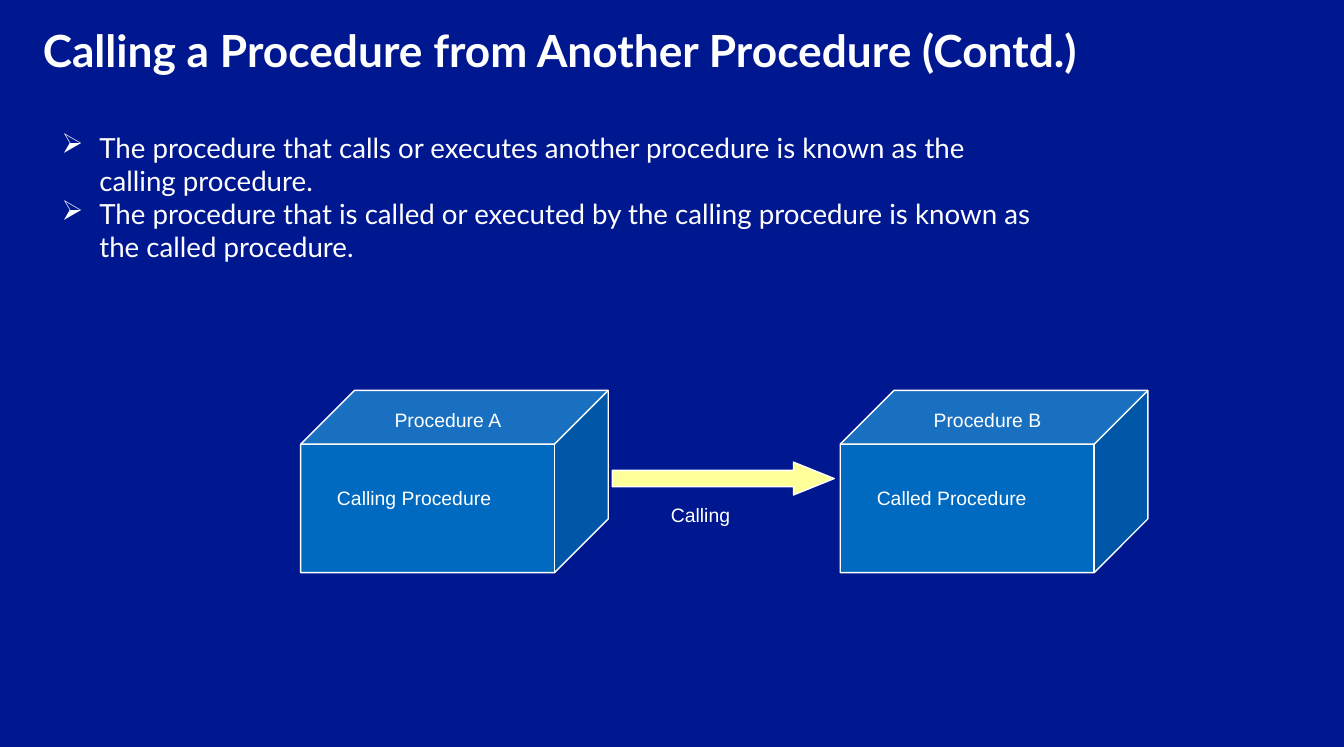
from lxml import etree
from pptx import Presentation
from pptx.dml.color import RGBColor
from pptx.enum.shapes import MSO_SHAPE
from pptx.enum.text import MSO_ANCHOR, PP_ALIGN
from pptx.oxml.ns import qn
from pptx.util import Inches, Pt

NAVY = RGBColor(0x00, 0x18, 0x8F)
WHITE = RGBColor(0xFF, 0xFF, 0xFF)
CYAN = RGBColor(0x00, 0xBC, 0xF2)
YELLOW = RGBColor(0xFF, 0xFF, 0x99)


class SlideBuilder:
    """Holds the slide and its style, and adds each kind of element."""

    heading_font = "Lato"
    label_font = "Arial"

    def __init__(self, prs):
        self.slide = prs.slides.add_slide(prs.slide_layouts[5])
        self.slide.background.fill.solid()
        self.slide.background.fill.fore_color.rgb = NAVY

    def place(self, shape, box):
        shape.left, shape.top, shape.width, shape.height = map(Inches, box)

    def set_text(self, frame, lines, font, size, bold=False,
                 align=PP_ALIGN.LEFT, anchor=MSO_ANCHOR.TOP):
        frame.word_wrap = True
        frame.vertical_anchor = anchor
        frame.margin_left = frame.margin_right = Inches(0.1)
        frame.margin_top = frame.margin_bottom = Inches(0.05)
        frame.text = "\n".join(lines)
        for paragraph in frame.paragraphs:
            paragraph.alignment = align
            style = paragraph.runs[0].font
            style.name, style.size, style.bold = font, Pt(size), bold
            style.color.rgb = WHITE

    def title(self, text, box):
        title = self.slide.shapes.title
        self.place(title, box)
        self.set_text(title.text_frame, [text], self.heading_font, 32, bold=True,
                      anchor=MSO_ANCHOR.MIDDLE)

    def bullets(self, lines, box):
        frame = self.slide.shapes.add_textbox(*map(Inches, box)).text_frame
        self.set_text(frame, lines, self.heading_font, 20)
        for paragraph in frame.paragraphs:
            properties = paragraph._p.get_or_add_pPr()
            properties.set("marL", str(Inches(0.38)))
            properties.set("indent", str(Inches(-0.38)))
            etree.SubElement(properties, qn("a:buChar"), char="\u27a2")

    def label(self, text, box, align=PP_ALIGN.CENTER, anchor=MSO_ANCHOR.TOP):
        frame = self.slide.shapes.add_textbox(*map(Inches, box)).text_frame
        self.set_text(frame, [text], self.label_font, 14, align=align, anchor=anchor)

    def shape(self, kind, box, color, adjustments, alpha=100):
        shape = self.slide.shapes.add_shape(kind, *map(Inches, box))
        shape.shadow.inherit = False
        for index, value in enumerate(adjustments):
            shape.adjustments[index] = value
        shape.fill.solid()
        shape.fill.fore_color.rgb = color
        if alpha < 100:
            fill_color = shape._element.spPr.find(qn("a:solidFill"))[0]
            etree.SubElement(fill_color, qn("a:alpha"), val=str(alpha * 1000))
        shape.line.color.rgb = WHITE
        shape.line.width = Pt(1)

    def procedure(self, name, role, left, role_left):
        self.shape(MSO_SHAPE.CUBE, (left, 3.92, 3.09, 1.83), CYAN, [0.295], alpha=50)
        self.label(name, (left + 0.64, 4, 1.68, 0.42), anchor=MSO_ANCHOR.MIDDLE)
        self.label(role, (role_left, 4.83, 2.02, 0.34))


prs = Presentation()
prs.slide_width, prs.slide_height = Inches(13.5), Inches(7.5)

builder = SlideBuilder(prs)
builder.title("Calling a Procedure from Another Procedure (Contd.)",
              (0.33, 0.18, 12.84, 0.64))
builder.bullets([
    "The procedure that calls or executes another procedure is known as the "
    "calling procedure.",
    "The procedure that is called or executed by the calling procedure is known "
    "as the called procedure.",
], (0.52, 1.26, 10.06, 1.75))

builder.procedure("Procedure A", "Calling Procedure", 3.02, 3.15)
builder.procedure("Procedure B", "Called Procedure", 8.44, 8.55)
builder.shape(MSO_SHAPE.RIGHT_ARROW, (6.15, 4.64, 2.23, 0.33), YELLOW, [0.5, 1.24])
builder.label("Calling", (6.64, 5, 1.8, 0.33), align=PP_ALIGN.LEFT)

prs.save("out.pptx")
